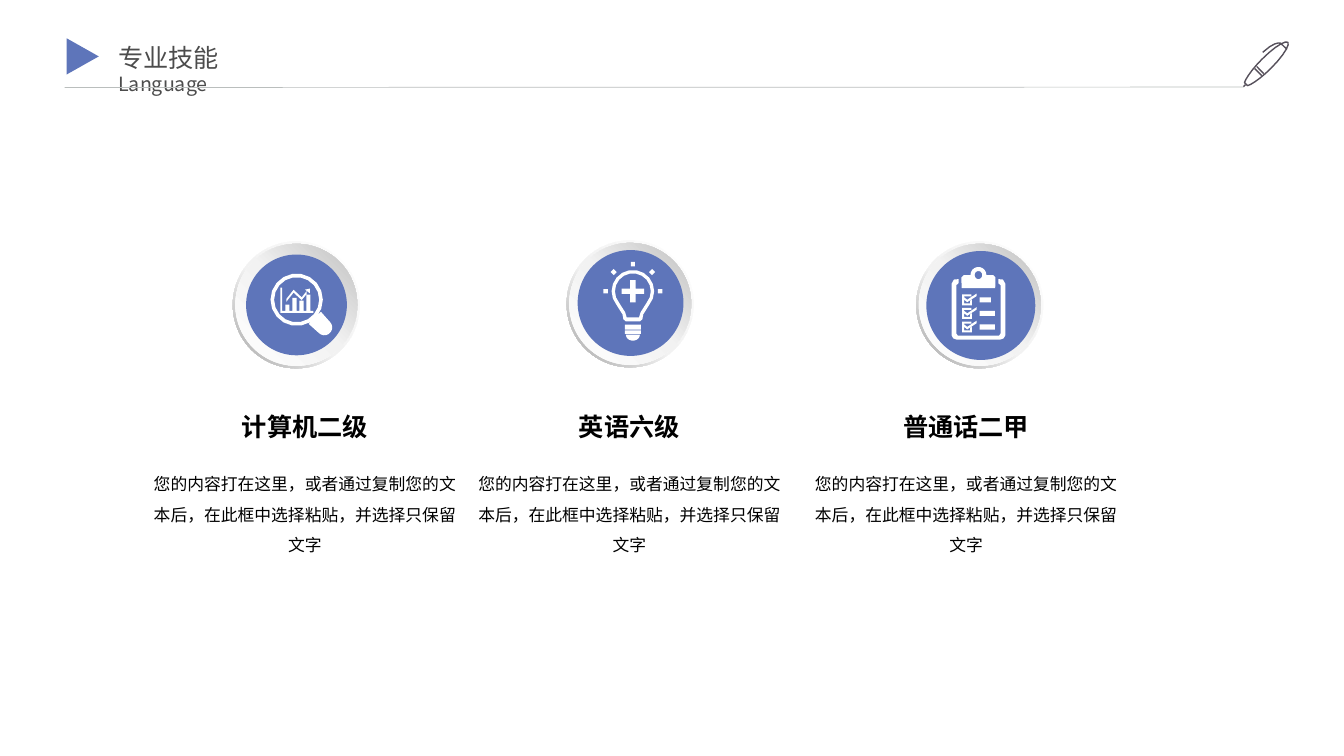
from copy import deepcopy
from math import cos, radians, sin

from pptx import Presentation
from pptx.dml.color import RGBColor
from pptx.enum.shapes import MSO_CONNECTOR, MSO_SHAPE
from pptx.enum.text import MSO_ANCHOR, MSO_AUTO_SIZE, PP_ALIGN
from pptx.oxml.ns import qn
from pptx.util import Pt

COLORS = {"blue": "5E75BA", "white": "FFFFFF", "black": "000000", "title": "4C4C4C",
          "rule": "BABEBD", "pen": "56505B", "pale": "F2F2F2", "rim": "A6A6A6", "dish": "BFBFBF"}
FONT = "Noto Sans CJK SC"
BODY = "您的内容打在这里，或者通过复制您的文本后，在此框中选择粘贴，并选择只保留文字"


# Outline helpers: each returns a list of points
def arc(cx, cy, rx, ry, start=0, stop=360):
    step = 20 if stop > start else -20
    return [(cx + rx * cos(radians(a)), cy + ry * sin(radians(a)))
            for a in range(start, stop + step, step)]


def curve(p0, p1, p2, p3, n=5):
    steps = [i / n for i in range(n + 1)]
    return [tuple((1 - t) ** 3 * a + 3 * t * (1 - t) ** 2 * b + 3 * t * t * (1 - t) * c + t ** 3 * d
                  for a, b, c, d in zip(p0, p1, p2, p3)) for t in steps]


def mirrored(points):
    return points + [(-x, y) for x, y in reversed(points)]


def box(x, y, w, h):
    return [(x, y), (x + w, y), (x + w, y + h), (x, y + h)]


def ribbon(points, h):
    return points + [(x, y + h) for x, y in reversed(points)]


def ray(angle, near=17.8, far=21, half=1.5):
    c, s = cos(radians(angle)), sin(radians(angle))
    return [(r * c - w * s, r * s + w * c)
            for r, w in [(near, half), (far, half), (far, -half), (near, -half)]]


# Icon outlines around their centres
def magnifier():
    handle = [(8.6, 17.3), *arc(19.8, 19.8, 5.6, 5.6, 135, -45), (17.3, 8.6)]
    axes = [(-11.7, -8.6), (-10.3, -8.6), (-10.3, 7.9), (11.9, 7.9), (11.9, 9.4), (-11.7, 9.4)]
    bars = [box(-8 + 5 * i, top, 2.9, 7.9 - top) for i, top in enumerate([3.6, -1.4, 0.7, -3.6])]
    trend = ribbon([(-7.4, -0.5), (-2.2, -7.1), (3.6, -1.7), (7.2, -6.2)], 2)
    head = [(9.4, -7.9), (9.4, -4.6), (6, -7.2)]
    return [arc(0, 0, 18.7, 18.7), arc(0, 0, 16.1, 16.1), handle, axes, *bars, trend, head]


def bulb():
    outer = arc(0, 0, 15.2, 15.2, 140, 400) + mirrored([(7.4, 16.5), (6.8, 20), (5, 21.5)])
    inner = arc(0, 0, 12.8, 12.8, 140, 400) + mirrored([(5.5, 15), (4.4, 18.7)])
    plus = mirrored([(-1.9, -8), (-1.9, -1.9), (-8, -1.9), (-8, 1.9), (-1.9, 1.9), (-1.9, 8)])
    base = [box(-5.8, 23.8, 11.6, 3.6), box(-5.8, 28, 11.6, 2.4), arc(0, 31, 5, 4.3, 0, 180)]
    return [outer, inner, plus, *base, *(ray(a) for a in range(180, 361, 45))]


def checklist():
    outer = [(-14.2, -17.3), (-17.5, -17), (-19.2, -14), (-19.2, 22.8), (-18, 25), (-15.5, 25.9)]
    inner = [(-14.2, -14.4), (-15.8, -13), (-15.8, 21.5), (-14.8, 23)]
    board = mirrored(outer) + mirrored(inner)[::-1]
    side = [(-12, -10.8), (-12.2, -18.5), (-10.5, -20.2)]
    clip = side + arc(0, -20.2, 5.7, 5.8, 180, 360) + [(-x, y) for x, y in reversed(side)]
    rows = []
    for i, w in enumerate([7.9, 10.8, 10.8]):
        y = -7.2 + 9.7 * i
        frame = [(-5, 0.8), (-11.7, 0.8), (-11.7, 8.6), (-4.7, 8.6), (-4.7, 4.6),
                 (-6, 5.5), (-6, 7.2), (-10.3, 7.2), (-10.3, 2.2), (-5, 2.2)]
        tick = ribbon([(-10, y + 3), (-8, y + 4.6), (-1.3, y + 0.2)], 1.8)
        rows += [[(x, y + dy) for x, dy in frame], tick, box(0.9, y + 2.9, w, 3.6)]
    return [board, clip, arc(0, -20.2, 2.7, 2.9), *rows]


def pen():
    body = [*curve((31.7, 1.4), (29.5, 0), (21.6, 5), (13, 13.7)),
            *curve((13, 13.7), (6.5, 20.2), (1.4, 27.4), (0.7, 30.2)),
            *curve((2.9, 32.4), (5.8, 31.7), (13, 26.6), (19.4, 20.2)),
            *curve((19.4, 20.2), (28.1, 11.5), (33.1, 3.6), (31.7, 1.4))]
    bands = [[(13, 25.2), (7.9, 20.2)], [(9.4, 18.7), (14.4, 23.8)]]
    nib = [(1.4, 31.7), (0, 33.1)]
    clip = [(31, 6.5), *curve((26.6, 2.2), (26.6, 2.2), (23, 0), (13.7, 8.6))]
    return [body, *bands, nib, clip]


class SlideBuilder:
    def __init__(self, slide):
        self.shapes = slide.shapes

    def color(self, name):
        return RGBColor.from_string(COLORS[name])

    def paint(self, sp, fill, line=None):
        sp.shadow.inherit = False
        if fill:
            sp.fill.solid()
            sp.fill.fore_color.rgb = self.color(fill)
        else:
            sp.fill.background()
        if line:
            sp.line.color.rgb = self.color(line)
            sp.line.width = Pt(1)
        else:
            sp.line.fill.background()
        return sp

    def shape(self, kind, x, y, w, h, fill):
        return self.paint(self.shapes.add_shape(kind, Pt(x), Pt(y), Pt(w), Pt(h)), fill)

    def gradient(self, sp, stops, angle):
        sp.fill.gradient()
        gs_list = sp._element.spPr.find(".//" + qn("a:gsLst"))
        gs_list.append(deepcopy(gs_list[-1]))
        for stop, (position, name) in zip(sp.fill.gradient_stops, stops):
            stop.position = position
            stop.color.rgb = self.color(name)
        sp.fill.gradient_angle = angle

    def outline(self, origin, contours, fill=None, line=None):
        ox, oy = origin
        paths = [[(Pt(ox + x), Pt(oy + y)) for x, y in c] for c in contours]
        builder = self.shapes.build_freeform(*paths[0][0])
        for i, path in enumerate(paths):
            if i:
                builder.move_to(*path[0])
            builder.add_line_segments(path[1:], close=bool(fill))
        self.paint(builder.convert_to_shape(), fill, line)

    def line(self, x1, y1, x2, y2, color, width):
        cn = self.shapes.add_connector(MSO_CONNECTOR.STRAIGHT, Pt(x1), Pt(y1), Pt(x2), Pt(y2))
        cn.line.color.rgb = self.color(color)
        cn.line.width = Pt(width)
        spPr = cn._element.spPr
        spPr.append(spPr.makeelement(qn("a:effectLst"), {}))

    def run(self, p, text, size, color, bold=False):
        r = p.add_run()
        r.text = text
        for key, value in {"name": FONT, "size": Pt(size), "bold": bold}.items():
            setattr(r.font, key, value)
        r.font.color.rgb = self.color(color)
        rPr = r._r.get_or_add_rPr()
        rPr.append(rPr.makeelement(qn("a:ea"), {"typeface": FONT}))

    def frame(self, sp, align, spacing=1.0, wrap=True):
        tf = sp.text_frame
        layout = {"word_wrap": wrap, "auto_size": MSO_AUTO_SIZE.NONE,
                  "vertical_anchor": MSO_ANCHOR.TOP}
        for key, value in layout.items():
            setattr(tf, key, value)
        p = tf.paragraphs[0]
        for key, value in {"alignment": align, "line_spacing": spacing, "space_before": Pt(0)}.items():
            setattr(p, key, value)
        return p

    def title(self, x, y, w, h, main, sub):
        sp = self.shapes.title
        for key, value in {"left": x, "top": y, "width": w, "height": h}.items():
            setattr(sp, key, Pt(value))
        p = self.frame(sp, PP_ALIGN.LEFT, wrap=False)
        self.run(p, main, 18, "title")
        p.add_line_break()
        self.run(p, sub, 14, "title")

    def text(self, x, y, w, h, text, size, bold=False, spacing=1.0):
        sp = self.shapes.add_textbox(Pt(x), Pt(y), Pt(w), Pt(h))
        self.run(self.frame(sp, PP_ALIGN.CENTER, spacing), text, size, "black", bold)

    def medallion(self, x, y, disc):
        rim = self.shape(MSO_SHAPE.DONUT, x, y, 90.7, 90.7, "white")
        rim.adjustments[0] = 0.049
        self.gradient(rim, [(0, "white"), (0.55, "pale"), (1, "rim")], 225)
        dish = self.shape(MSO_SHAPE.OVAL, x + 1.8, y + 1.8, 87.1, 87.1, "white")
        self.gradient(dish, [(0, "white"), (0.51, "pale"), (1, "dish")], 45)
        dx, dy, size = disc
        self.shape(MSO_SHAPE.OVAL, dx, dy, size, size, "blue")


def main():
    prs = Presentation()
    prs.slide_width, prs.slide_height = Pt(960), Pt(540)
    s = SlideBuilder(prs.slides.add_slide(prs.slide_layouts[5]))

    # Header
    s.title(77.3, 26.4, 151.2, 46, "专业技能", "Language")
    s.line(46.1, 62.5, 888.5, 62.2, "rule", 0.5)
    s.outline((888.3, 28.8), pen(), line="pen")
    triangle = s.shape(MSO_SHAPE.ISOSCELES_TRIANGLE, 46.1, 28.8, 25.9, 23, "blue")
    triangle.rotation = 90

    # Skills: heading, text left, medallion, disc, icon and its centre
    skills = [
        ("计算机二级", 99.7, (166.3, 172.4), (175.8, 181.8, 72), magnifier, (211.9, 214.1)),
        ("英语六级", 331.5, (404.8, 171.7), (412.6, 178.6, 75.6), bulb, (452.1, 208.1)),
        ("普通话二甲", 572, (654.5, 172.4), (661.7, 179.3, 77.8), checklist, (698.9, 216.7)),
    ]
    for heading, left, ring, disc, icon, center in skills:
        s.medallion(*ring, disc)
        s.outline(center, icon(), fill="white")
        s.text(left + 9, 290.2, 218.2, 29, heading, 18, bold=True)
        s.text(left, 327.9, 236.2, 72.7, BODY, 12, spacing=1.5)

    prs.save("out.pptx")


if __name__ == "__main__":
    main()
